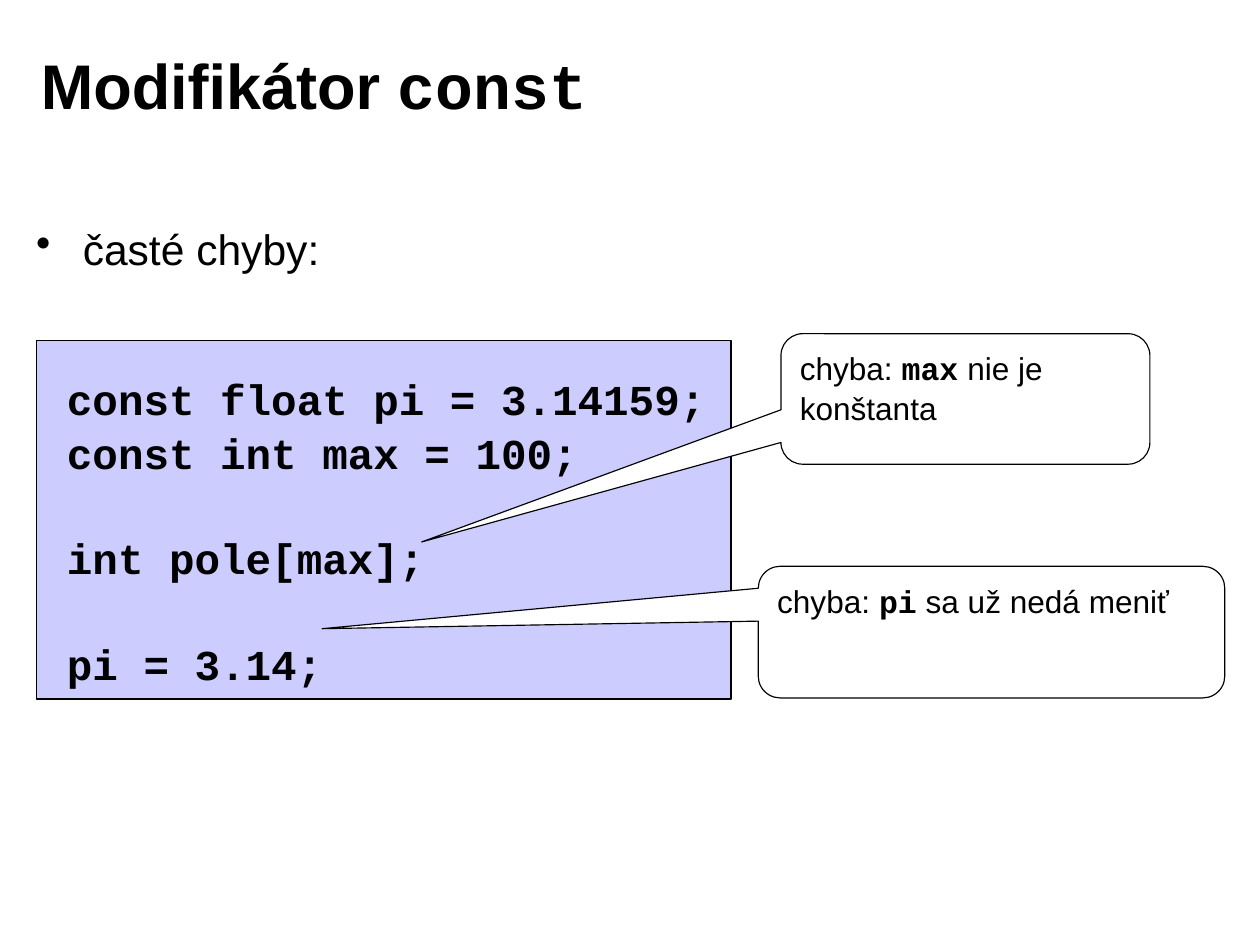
from dataclasses import dataclass

from lxml import etree
from pptx import Presentation, util as u
from pptx.dml.color import RGBColor
from pptx.enum import shapes, text
from pptx.oxml import ns

BLACK, WHITE, LAVENDER = "000000", "FFFFFF", "CCCCFF"
SANS, MONO = "Arial", "Courier New"
LINE_SPACING = 1.06
CODE_SIZE = 27
CODE_PITCH = 32.4


@dataclass(frozen=True)
class Box:
    left: float
    top: float
    width: float
    height: float

    def lengths(self) -> list:
        return [u.Inches(v) for v in (self.left, self.top, self.width, self.height)]


@dataclass(frozen=True)
class Piece:
    words: str
    font: str = SANS
    bold: bool = False


@dataclass(frozen=True)
class Callout:
    box: Box
    pointer: tuple[float, float]
    pieces: tuple[Piece, ...]


@dataclass(frozen=True)
class CodeLine:
    code: str
    blank_before: bool = False


CALLOUTS = (
    Callout(Box(6.68, 4.99, 4.11, 1.16), (-1.435, -0.026),
            (Piece("chyba: "), Piece("pi", MONO, True), Piece(" sa už nedá meniť"))),
    Callout(Box(6.88, 2.94, 3.25, 1.15), (-1.474, 1.096),
            (Piece("chyba: "), Piece("max", MONO, True), Piece(" nie je konštanta"))),
)
CODE = (
    CodeLine("const float pi = 3.14159;"),
    CodeLine("const int max = 100;"),
    CodeLine("int pole[max];", True),
    CodeLine("pi = 3.14;", True),
)


def color(value: str) -> RGBColor:
    return RGBColor.from_string(value)


def prepare_frame(frame, wrap: bool = True, anchor=text.MSO_ANCHOR.TOP) -> None:
    frame.word_wrap = wrap
    frame.vertical_anchor = anchor
    frame.margin_left = frame.margin_right = u.Inches(0.11)
    frame.margin_top = frame.margin_bottom = u.Inches(0.06)


def write(paragraph, pieces: tuple[Piece, ...], size: float) -> None:
    paragraph.alignment = text.PP_ALIGN.LEFT
    paragraph.line_spacing = LINE_SPACING
    for piece in pieces:
        run = paragraph.add_run()
        run.text = piece.words
        run.font.name = piece.font
        run.font.size = u.Pt(size)
        run.font.bold = piece.bold
        run.font.color.rgb = color(BLACK)


def add_text(slide, box: Box, wrap: bool = True, anchor=text.MSO_ANCHOR.TOP):
    frame = slide.shapes.add_textbox(*box.lengths()).text_frame
    prepare_frame(frame, wrap, anchor)
    return frame


def add_panel(slide, kind, box: Box, fill: str):
    panel = slide.shapes.add_shape(kind, *box.lengths())
    panel.shadow.inherit = False
    panel.fill.solid()
    panel.fill.fore_color.rgb = color(fill)
    panel.line.color.rgb = color(BLACK)
    panel.line.width = u.Pt(0.75)
    return panel


def add_bullet(paragraph, indent: float) -> None:
    properties = paragraph._p.get_or_add_pPr()
    properties.set("marL", str(u.Inches(indent)))
    properties.set("indent", str(u.Inches(-indent)))
    bullet = etree.SubElement(properties, ns.qn("a:buChar"))
    bullet.set("char", "•")


def add_code(slide) -> None:
    add_panel(slide, shapes.MSO_SHAPE.RECTANGLE, Box(0.32, 3, 6.12, 3.16), LAVENDER)
    frame = add_text(slide, Box(0.48, 3.2, 5.85, 2.81), wrap=False)
    for index, line in enumerate(CODE):
        paragraph = frame.add_paragraph() if index else frame.paragraphs[0]
        write(paragraph, (Piece(line.code, MONO, True),), CODE_SIZE)
        if line.blank_before:
            paragraph.space_before = u.Pt(CODE_PITCH)


def add_callout(slide, callout: Callout) -> None:
    bubble = add_panel(slide, shapes.MSO_SHAPE.ROUNDED_RECTANGULAR_CALLOUT,
                       callout.box, WHITE)
    bubble.adjustments[0], bubble.adjustments[1] = callout.pointer
    bubble.adjustments[2] = 0.167
    prepare_frame(bubble.text_frame)
    write(bubble.text_frame.paragraphs[0], callout.pieces, 20)


def main() -> None:
    deck = Presentation()
    deck.slide_width, deck.slide_height = u.Inches(11.1), u.Inches(8.3)
    slide = deck.slides.add_slide(deck.slide_layouts[6])

    title = add_text(slide, Box(0.25, 0.21, 8.92, 1.02), anchor=text.MSO_ANCHOR.MIDDLE)
    write(title.paragraphs[0],
          (Piece("Modifikátor ", bold=True), Piece("const", MONO, True)), 40)

    add_code(slide)

    mistakes = add_text(slide, Box(0.21, 1.88, 10.66, 0.83)).paragraphs[0]
    write(mistakes, (Piece("časté chyby:"),), 27)
    add_bullet(mistakes, 0.41)

    for callout in CALLOUTS:
        add_callout(slide, callout)

    deck.save("out.pptx")


if __name__ == "__main__":
    main()
